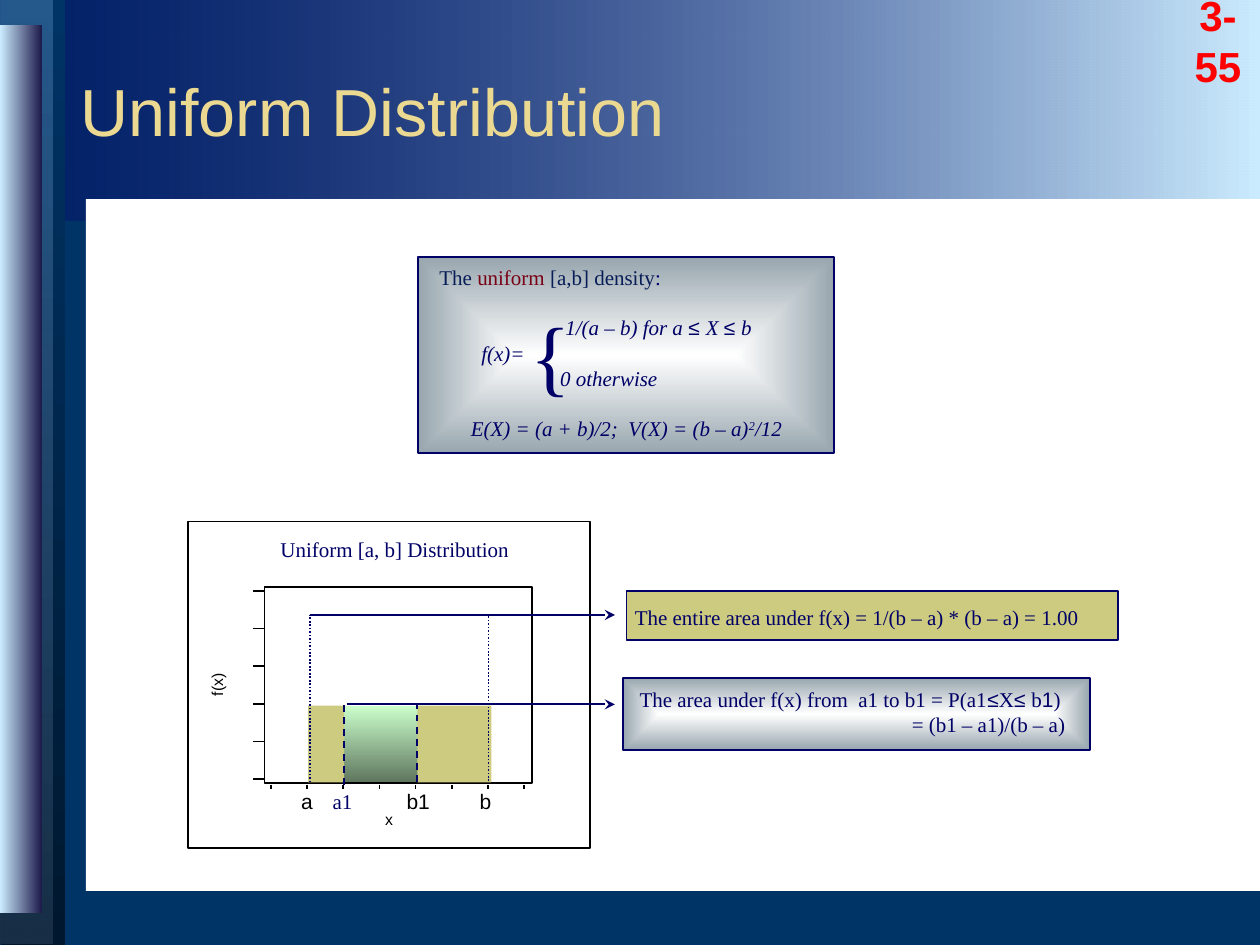
"""Build the Uniform Distribution slide with its density card and annotated plot."""
from lxml import etree
from pptx import Presentation
from pptx.dml.color import RGBColor
from pptx.enum.dml import MSO_LINE
from pptx.enum.shapes import MSO_CONNECTOR as CONN, MSO_SHAPE as SHAPE
from pptx.enum.text import MSO_ANCHOR, PP_ALIGN
from pptx.oxml import parse_xml
from pptx.oxml.ns import qn
from pptx.util import Pt

NS = "http://schemas.openxmlformats.org/drawingml/2006/main"
SERIF, SANS = "Times New Roman", "Arial"
BASE = RGBColor(0x00, 0x33, 0x66)
WHITE = RGBColor(0xFF, 0xFF, 0xFF)
BLACK = RGBColor(0, 0, 0)
NAVY = RGBColor(0x00, 0x00, 0x66)
DARK = RGBColor(0x08, 0x1D, 0x58)
MAROON = RGBColor(0x79, 0x00, 0x15)
RED = RGBColor(0xFF, 0, 0)
GOLD = RGBColor(0xEB, 0xD8, 0x91)
KHAKI = RGBColor(0xCD, 0xCB, 0x7F)
SKY = RGBColor(0xCC, 0xEC, 0xFF)
INK = RGBColor(0x00, 0x18, 0x2F)
STEEL = RGBColor(0x33, 0x66, 0x99)
SLATE = RGBColor(0x18, 0x2F, 0x47)
INDIGO = RGBColor(0x1E, 0x1B, 0x4B)
MINT = RGBColor(0xCC, 0xFF, 0xCC)
MOSS = RGBColor(0x5E, 0x76, 0x5E)
GREY = RGBColor(0x98, 0xA6, 0xAE)

CARD = (WHITE, GREY, 100, None)
BACKDROP = [
    ((0, 0, 720, 126), (NAVY, SKY, 38, 0)),
    ((0.72, 0, 36.7, 540), (BASE, INK, 100, 90)),
    ((-1.44, -0.72, 31.7, 540), (STEEL, SLATE, 73, 90)),
    ((0, 14.4, 23.8, 507.6), (SKY, INDIGO, 100, 0)),
    ((49, 113.8, 671, 395.3), WHITE),
]
PANELS = [
    ((196.5, 403.2, 43, 44), (MINT, MOSS, 100, 90), None),
    ((239, 147, 237.6, 112), CARD, NAVY),
    ((107.3, 298, 229.7, 186.5), None, BLACK),
    ((151.2, 335.5, 153, 111.8), None, BLACK),
    ((238.5, 403.2, 42.3, 44), KHAKI, None),
    ((176, 403.2, 20.6, 44), KHAKI, None),
    ((358, 337.7, 280.8, 28), KHAKI, NAVY),
    ((356, 387.4, 266.8, 41.2), CARD, NAVY),
]

LE = ("≤ ", {"name": SANS})
DENSITY = [
    (["The ", ("uniform", {"color": MAROON}), " [a,b] density", (":", {"color": NAVY})],
     {"color": DARK}),
    (["1/(a – b) for a ", LE, "X ", LE, "b"], {"italic": True, "indent": 72, "before": 14.4}),
    (["f(x)="], {"italic": True, "indent": 24}),
    (["0 otherwise"], {"italic": True, "indent": 69}),
    (["E(X) = (a + b)/2;  V(X) = (b – a)", ("2", {"raised": True}), "/12"],
     {"italic": True, "indent": 18, "before": 14.4}),
]
PARTIAL_AREA = [
    (["The area under f(x) from  a1 to b1 = P(a1", ("≤", {"name": SANS}), "X", LE, "b",
      ("1", {"name": SANS}), ")"], {}),
    (["= (b1 – a1)/(b – a)"], {"indent": 155.5}),
]
AXIS = {"name": SANS, "color": BLACK}
SMALL = {**AXIS, "size": 9, "align": PP_ALIGN.CENTER}
TEXTS = [
    ((244, 147.6, 222, 108), DENSITY, 0),
    ((296, 169.2, 37.4, 64.8), [(["{"], {"size": 48})], 0),
    ((267, 447, 18, 21.6), [(["b"], AXIS)], 0),
    ((225.2, 447, 30.2, 21.6), [(["b1"], AXIS)], 0),
    ((165, 447, 18, 21.6), [(["a"], AXIS)], 0),
    ((183, 447, 30.2, 21.6), [(["a1"], {})], 0),
    ((210.3, 459.4, 24, 18), [(["x"], SMALL)], 0),
    ((106, 382.2, 36, 18), [(["f(x)"], SMALL)], 270),
    ((355.7, 342, 289.4, 21.6),
     [(["The entire area under f(x) = 1/(b – a) * (b – a) = 1.00"], {})], 0),
    ((358.4, 388.8, 258.5, 50.4), PARTIAL_AREA, 0),
    ((153.2, 303, 156.2, 21.6), [(["Uniform [a, b] Distribution"], {})], 0),
]
MARKERS = [
    (177, 447, 177, 351.4, MSO_LINE.ROUND_DOT, False),
    (279.2, 446.4, 279.2, 351.4, MSO_LINE.ROUND_DOT, False),
    (177, 351.4, 351.4, 351.4, None, True),
    (196.6, 448.5, 196.6, 402, MSO_LINE.DASH, False),
    (238.3, 447, 238.3, 402, MSO_LINE.DASH, False),
    (198, 402.5, 351.4, 402.5, None, True),
]
X_TICKS = [154.8 + 20.67 * i for i in range(8)]
Y_TICKS = [337.7 + 21.5 * i for i in range(6)]


def gradient(sp, start, end, alpha, angle):
    """Give a shape a linear gradient, or a rectangular one when angle is None."""
    if angle is None:
        way = ('<a:path path="rect"><a:fillToRect l="50000" t="50000" '
               'r="50000" b="50000"/></a:path>')
    else:
        way = f'<a:lin ang="{angle * 60000}" scaled="0"/>'
    sp.fill.background()
    old = sp._element.spPr.find(qn("a:noFill"))
    old.getparent().replace(old, parse_xml(
        f'<a:gradFill xmlns:a="{NS}" rotWithShape="1"><a:gsLst>'
        f'<a:gs pos="0"><a:srgbClr val="{start}"><a:alpha val="{alpha * 1000}"/>'
        f'</a:srgbClr></a:gs><a:gs pos="100000"><a:srgbClr val="{end}"/></a:gs>'
        f'</a:gsLst>{way}</a:gradFill>'))


def add_box(s, at, fill, line=None):
    """Add a rectangle with a solid, gradient or empty fill."""
    sp = s.shapes.add_shape(SHAPE.RECTANGLE, *map(Pt, at))
    sp.shadow.inherit = False
    if fill is None:
        sp.fill.background()
    elif isinstance(fill, RGBColor):
        sp.fill.solid()
        sp.fill.fore_color.rgb = fill
    else:
        gradient(sp, *fill)
    if line is None:
        sp.line.fill.background()
    else:
        sp.line.color.rgb = line
        sp.line.width = Pt(1)


def set_font(font, name=None, size=None, color=None, bold=None, italic=None, raised=False):
    """Apply the given character properties to a font."""
    if name:
        font.name = name
    if size:
        font.size = Pt(size)
    if color is not None:
        font.color.rgb = color
    if bold is not None:
        font.bold = bold
    if italic is not None:
        font.italic = italic
    if raised:
        font._element.set("baseline", "30000")


def add_text(s, at, paragraphs, rotation=0):
    """Add a text box; each paragraph is a list of runs and a style."""
    sp = s.shapes.add_textbox(*map(Pt, at))
    sp.rotation = rotation
    tf = sp.text_frame
    tf.word_wrap = True
    for i, (runs, style) in enumerate(paragraphs):
        p = tf.add_paragraph() if i else tf.paragraphs[0]
        style = {"name": SERIF, "size": 12, "color": NAVY, **style}
        p._p.get_or_add_pPr().set("marL", str(Pt(style.pop("indent", 0))))
        p.alignment = style.pop("align", PP_ALIGN.LEFT)
        p.space_before = Pt(style.pop("before", 0))
        set_font(p.font, **style)
        for run in runs:
            text, change = (run, {}) if isinstance(run, str) else run
            r = p.add_run()
            r.text = text
            set_font(r.font, **change)


def add_line(s, x1, y1, x2, y2, color=BLACK, dash=None, arrow=False):
    """Add a one-point straight line, dashed or with an arrowhead if asked."""
    c = s.shapes.add_connector(CONN.STRAIGHT, Pt(x1), Pt(y1), Pt(x2), Pt(y2))
    c.line.color.rgb = color
    c.line.width = Pt(1)
    if dash is not None:
        c.line.dash_style = dash
    if arrow:
        etree.SubElement(c.line._get_or_add_ln(), qn("a:tailEnd"), type="stealth")
    etree.SubElement(c._element.spPr, qn("a:effectLst"))


def main():
    prs = Presentation()
    prs.slide_width, prs.slide_height = Pt(720), Pt(540)
    s = prs.slides.add_slide(prs.slide_layouts[5])
    s.background.fill.solid()
    s.background.fill.fore_color.rgb = BASE
    for at, fill in BACKDROP:
        add_box(s, at, fill)
    add_text(s, (669, -9.4, 54, 40.3), [(["3-55"], {
        "name": SANS, "size": 24, "color": RED, "bold": True, "align": PP_ALIGN.CENTER})])

    title = s.shapes.title
    title._element.getparent().append(title._element)
    title.left, title.top, title.width, title.height = map(Pt, (38.9, 18, 667.4, 90))
    title.text_frame.text = "Uniform Distribution"
    title.text_frame.vertical_anchor = MSO_ANCHOR.MIDDLE
    p = title.text_frame.paragraphs[0]
    p.alignment = PP_ALIGN.LEFT
    set_font(p.font, SANS, 38, GOLD)

    for at, fill, line in PANELS:
        add_box(s, at, fill, line)
    for x in X_TICKS:
        add_line(s, x, 448.5, x, 450.7)
    for y in Y_TICKS:
        add_line(s, 151.6, y, 144.7, y)
    add_line(s, 151.2, 445.7, 151.2, 337)
    for x1, y1, x2, y2, dash, arrow in MARKERS:
        add_line(s, x1, y1, x2, y2, NAVY, dash, arrow)
    for at, paragraphs, rotation in TEXTS:
        add_text(s, at, paragraphs, rotation)
    prs.save("out.pptx")


if __name__ == "__main__":
    main()
